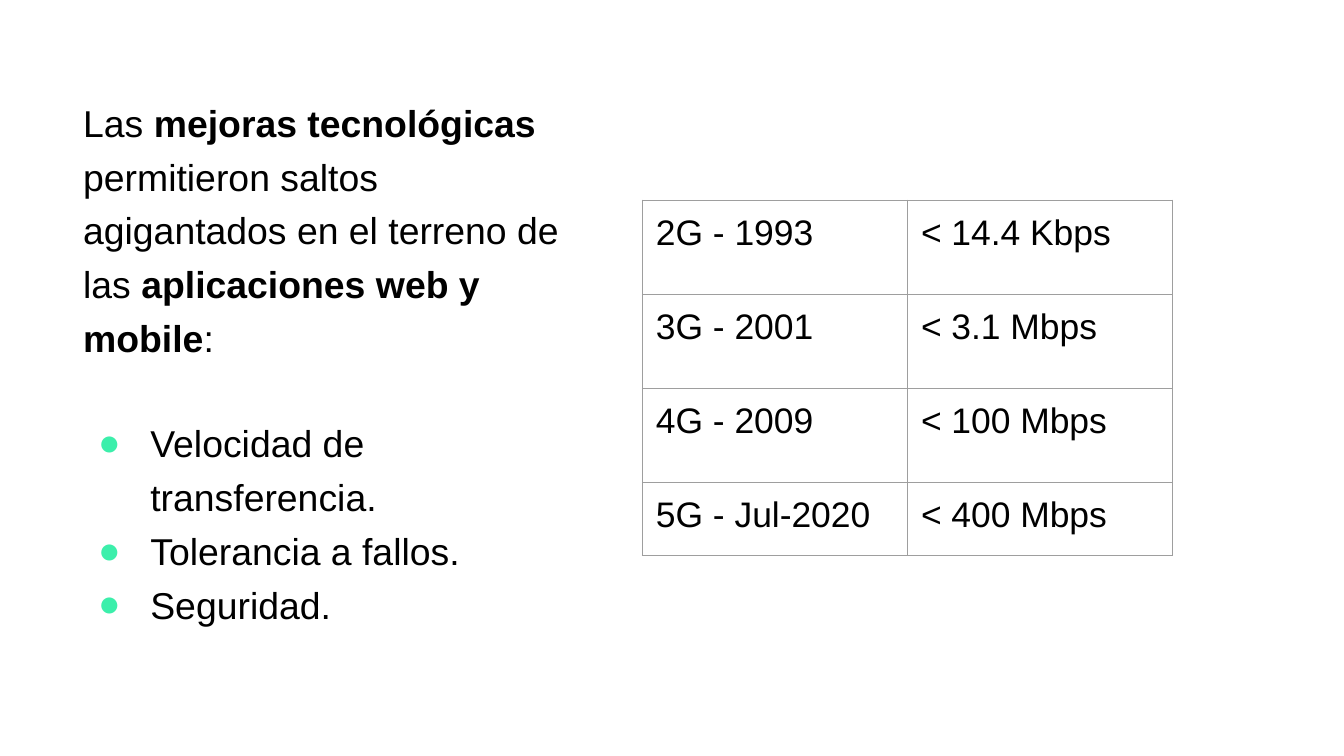
from lxml import etree
from pptx import Presentation
from pptx.dml.color import RGBColor
from pptx.enum import text
from pptx.oxml import ns
from pptx.util import Pt

BLACK = RGBColor(0x00, 0x00, 0x00)
MINT = RGBColor(0x3C, 0xEF, 0xAB)
GREY = RGBColor(0x9E, 0x9E, 0x9E)
INSET = Pt(7.2)
LINE_SPACING = 1.2

INTRO = [
    ("Las ", False),
    ("mejoras tecnológicas ", True),
    ("permitieron saltos agigantados en el terreno de las ", False),
    ("aplicaciones web y mobile", True),
    (":", False),
]
BENEFITS = ["Velocidad de transferencia.", "Tolerancia a fallos.", "Seguridad."]
SPEEDS = [
    ("2G - 1993", "< 14.4 Kbps"),
    ("3G - 2001", "< 3.1 Mbps"),
    ("4G - 2009", "< 100 Mbps"),
    ("5G - Jul-2020", "< 400 Mbps"),
]
ROW_HEIGHTS = [50.4, 50.4, 50.4, 39.2]


def add_child(parent, tag, **attributes):
    return etree.SubElement(parent, ns.qn(tag), attributes)


def style_font(font, size):
    font.name = "Arial"
    font.size = Pt(size)
    font.color.rgb = BLACK


deck = Presentation()
deck.slide_width, deck.slide_height = Pt(720), Pt(405)
page = deck.slides.add_slide(deck.slide_layouts[6])

# Introduction and bulleted benefits
box = page.shapes.add_textbox(Pt(37.44), Pt(51.84), Pt(270), Pt(280.8))
frame = box.text_frame
frame.word_wrap = True
frame.vertical_anchor = text.MSO_ANCHOR.MIDDLE
frame.margin_left = frame.margin_right = INSET
frame.margin_top = frame.margin_bottom = INSET

para = frame.paragraphs[0]
para.line_spacing = LINE_SPACING
for words, bold in INTRO:
    span = para.add_run()
    span.text = words
    style_font(span.font, 20)
    span.font.bold = bold

for index, benefit in enumerate(BENEFITS):
    para = frame.add_paragraph()
    para.text = benefit
    para.line_spacing = LINE_SPACING
    if index == 0:
        para.space_before = Pt(27.6)
    properties = para._p.get_or_add_pPr()
    properties.set("marL", str(Pt(36)))
    properties.set("indent", str(-Pt(28)))
    bullet_color = add_child(properties, "a:buClr")
    add_child(bullet_color, "a:srgbClr", val=str(MINT))
    add_child(properties, "a:buFont", typeface="Arial")
    add_child(properties, "a:buChar", char="●")
    style_font(para.runs[0].font, 20)

# Speed of each mobile generation
table = page.shapes.add_table(
    len(SPEEDS), 2, Pt(344.2), Pt(107.2), Pt(284), Pt(sum(ROW_HEIGHTS))
).table
table.first_row = table.horz_banding = False
for column in table.columns:
    column.width = Pt(142)

for row, height, labels in zip(table.rows, ROW_HEIGHTS, SPEEDS):
    row.height = Pt(height)
    for cell, label in zip(row.cells, labels):
        cell.text_frame.text = label
        style_font(cell.text_frame.paragraphs[0].runs[0].font, 19)
        cell.margin_left = cell.margin_right = INSET
        cell.margin_top = cell.margin_bottom = INSET
        for side in ("a:lnL", "a:lnR", "a:lnT", "a:lnB"):
            border = add_child(cell._tc.get_or_add_tcPr(), side, w=str(Pt(0.75)))
            add_child(add_child(border, "a:solidFill"), "a:srgbClr", val=str(GREY))
        cell.fill.background()

deck.save("out.pptx")
